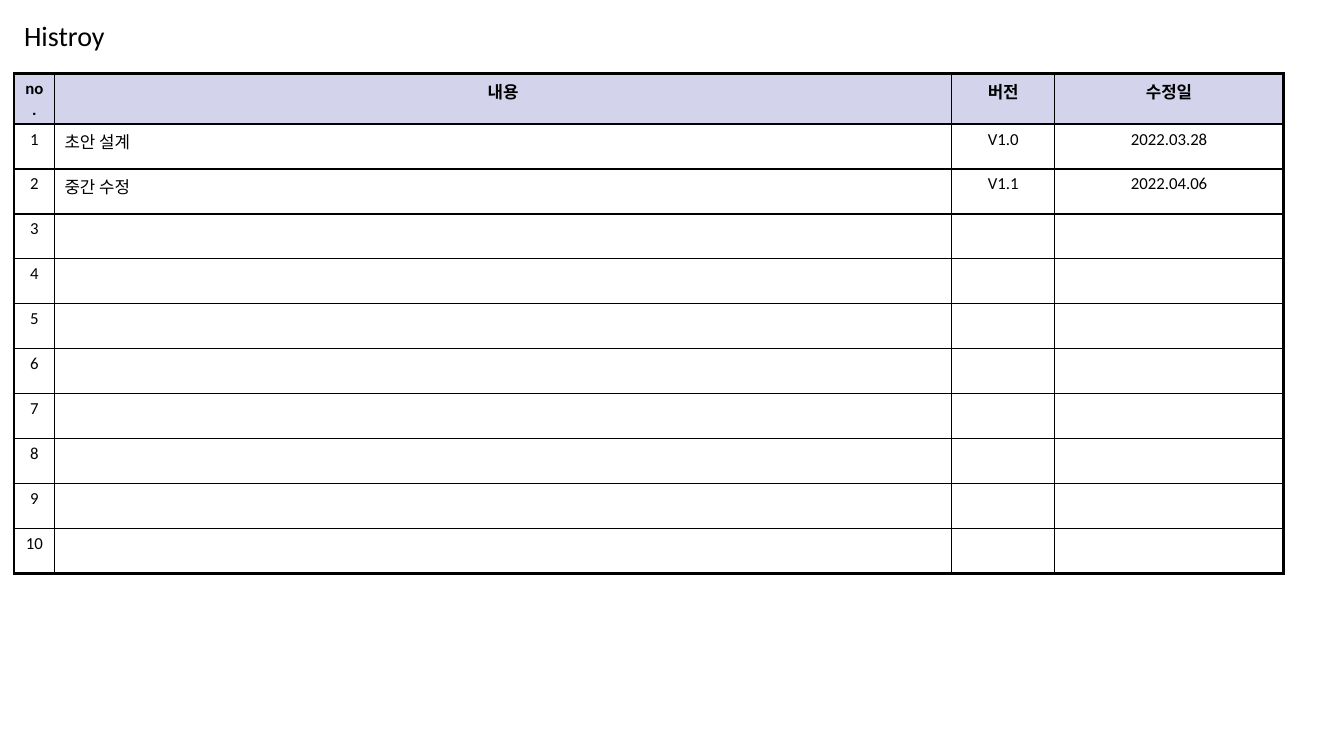
from dataclasses import dataclass

from lxml import etree
from pptx import Presentation
from pptx.dml.color import RGBColor
from pptx.enum.text import MSO_AUTO_SIZE, PP_ALIGN
from pptx.oxml.ns import qn
from pptx.util import Inches, Pt

CENTER, LEFT = PP_ALIGN.CENTER, PP_ALIGN.LEFT
GROW = MSO_AUTO_SIZE.SHAPE_TO_FIT_TEXT


@dataclass(frozen=True)
class Theme:
    font: str = "Calibri"
    ink: str = "000000"
    head: str = "D3D3EB"
    body: str = "FFFFFF"
    title: int = 20
    text: int = 12
    thin: int = 1
    thick: int = 2


class Deck:
    """Hold the theme and current slide, and draw each kind of element."""

    def __init__(self, theme):
        self.theme = theme
        self.show = Presentation()
        self.show.slide_width = Inches(13.33)
        self.show.slide_height = Inches(7.5)
        self.slide = self.show.slides.add_slide(self.show.slide_layouts[6])

    def label(self, frame, text, size, bold=False, align=LEFT):
        line = frame.paragraphs[0]
        line.alignment = align
        run = line.add_run()
        run.text = text
        run.font.name = self.theme.font
        run.font.size = Pt(size)
        run.font.bold = bold
        run.font.color.rgb = RGBColor.from_string(self.theme.ink)

    def title(self, text, left, top, width, height):
        box = self.slide.shapes.add_textbox(
            Inches(left), Inches(top), Inches(width), Inches(height))
        box.text_frame.word_wrap = True
        box.text_frame.auto_size = GROW
        self.label(box.text_frame, text, self.theme.title)

    def edge(self, cell, side, width):
        props = cell._tc.get_or_add_tcPr()
        line = etree.SubElement(props, qn(f"a:ln{side}"), w=str(Pt(width)))
        fill = etree.SubElement(line, qn("a:solidFill"))
        etree.SubElement(fill, qn("a:srgbClr"), val=self.theme.ink)

    def table(self, rows, left, top, widths, height):
        style = self.theme
        last, end = len(rows) - 1, len(widths) - 1
        grid = self.slide.shapes.add_table(
            len(rows), len(widths), Inches(left), Inches(top),
            Inches(sum(widths)), Inches(height)).table
        for column, width in zip(grid.columns, widths):
            column.width = Inches(width)
        for r, row in enumerate(rows):
            grid.rows[r].height = Inches(height / len(rows))
            for c, text in enumerate(row):
                cell = grid.cell(r, c)
                outer = {"L": c == 0, "R": c == end, "T": r == 0, "B": r == last}
                for side, thick in outer.items():
                    self.edge(cell, side, style.thick if thick else style.thin)
                cell.fill.solid()
                cell.fill.fore_color.rgb = RGBColor.from_string(
                    style.body if r else style.head)
                if text:
                    align = LEFT if r and c == 1 else CENTER
                    self.label(cell.text_frame, text, style.text, r == 0, align)


def main():
    deck = Deck(Theme())
    deck.title("Histroy", 0.14, 0.13, 3.47, 0.42)
    edits = [("초안 설계", "V1.0", "2022.03.28"),
             ("중간 수정", "V1.1", "2022.04.06")]
    edits += [("", "", "")] * (10 - len(edits))
    rows = [("no.", "내용", "버전", "수정일")]
    rows += [(str(n), *edit) for n, edit in enumerate(edits, 1)]
    deck.table(rows, 0.14, 0.73, (0.4, 8.9, 1.02, 2.27), 4.91)
    deck.show.save("out.pptx")


if __name__ == "__main__":
    main()
